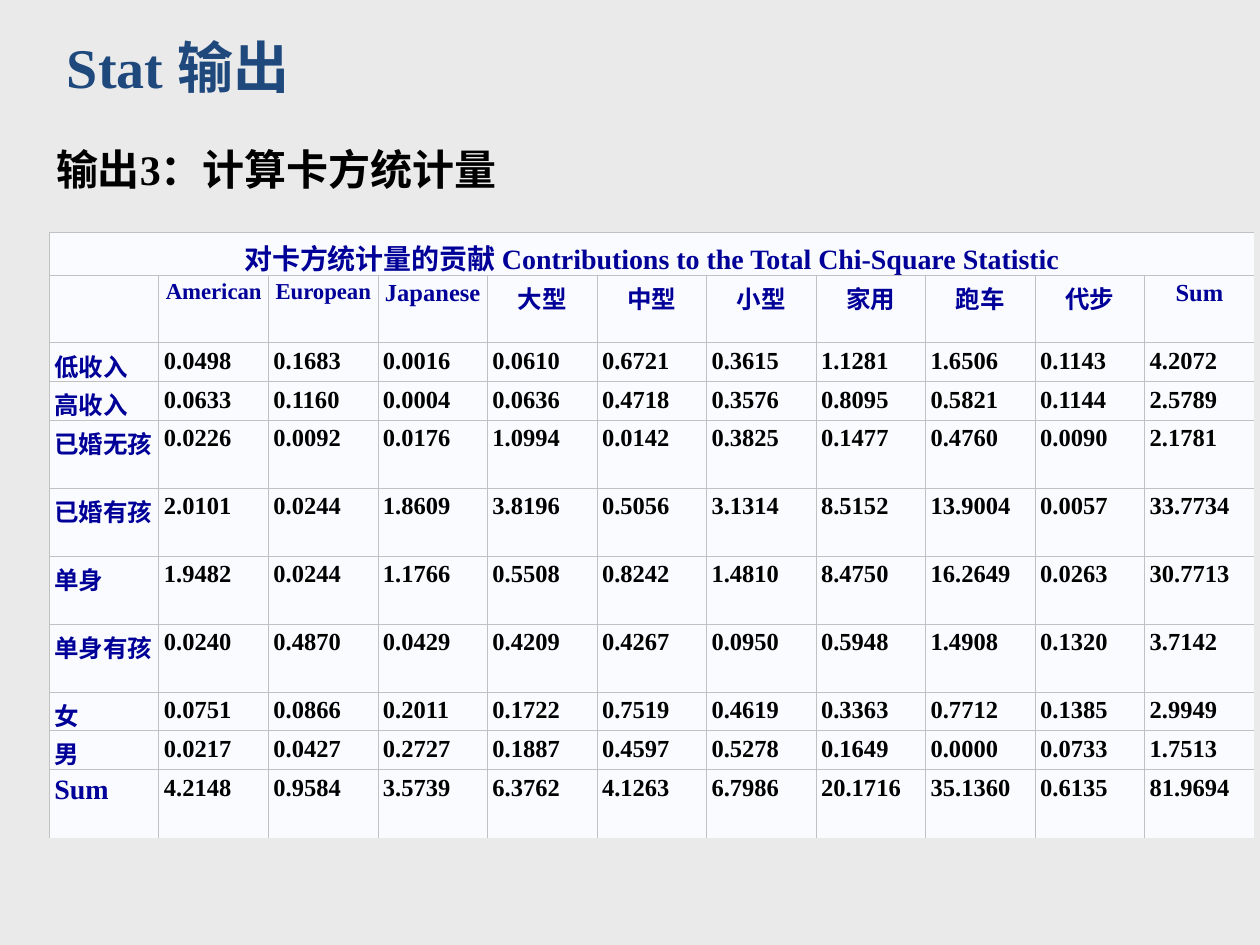
from lxml.etree import SubElement
from pptx import Presentation
from pptx.dml.color import RGBColor
from pptx.enum.text import MSO_ANCHOR, MSO_AUTO_SIZE, PP_ALIGN
from pptx.oxml.ns import qn
from pptx.util import Pt

SERIF = "Times New Roman"
NAVY, BLUE, BLACK = "000099", "1F497D", "000000"
TABLE_TITLE = "对卡方统计量的贡献 Contributions to the Total Chi-Square Statistic"
HEADERS = "American European Japanese 大型 中型 小型 家用 跑车 代步 Sum".split()
ROWS = """
低收入 0.0498 0.1683 0.0016 0.0610 0.6721 0.3615 1.1281 1.6506 0.1143 4.2072
高收入 0.0633 0.1160 0.0004 0.0636 0.4718 0.3576 0.8095 0.5821 0.1144 2.5789
已婚无孩 0.0226 0.0092 0.0176 1.0994 0.0142 0.3825 0.1477 0.4760 0.0090 2.1781
已婚有孩 2.0101 0.0244 1.8609 3.8196 0.5056 3.1314 8.5152 13.9004 0.0057 33.7734
单身 1.9482 0.0244 1.1766 0.5508 0.8242 1.4810 8.4750 16.2649 0.0263 30.7713
单身有孩 0.0240 0.4870 0.0429 0.4209 0.4267 0.0950 0.5948 1.4908 0.1320 3.7142
女 0.0751 0.0866 0.2011 0.1722 0.7519 0.4619 0.3363 0.7712 0.1385 2.9949
男 0.0217 0.0427 0.2727 0.1887 0.4597 0.5278 0.1649 0.0000 0.0733 1.7513
Sum 4.2148 0.9584 3.5739 6.3762 4.1263 6.7986 20.1716 35.1360 0.6135 81.9694
"""
TITLE_H, SHORT, TALL = 24, 22.2, 38.8
HEIGHTS = [TITLE_H, TALL, SHORT, SHORT, TALL, TALL, TALL, TALL, SHORT, SHORT, TALL]


def rgb(value):
    return RGBColor.from_string(value)


class Deck:
    """Holds the table style and the current slide, and adds elements to it."""

    cell_fill, border, border_width = "FAFBFE", "C1C1C1", 0.6
    margin_x, margin_y = 2.88, 2.6

    def __init__(self, prs, background):
        self.s = prs.slides.add_slide(prs.slide_layouts[1])
        fill = self.s.background.fill
        fill.solid()
        fill.fore_color.rgb = rgb(background)

    def run(self, p, text, size, color, font=SERIF):
        r = p.add_run()
        r.text = text
        r.font.name, r.font.size, r.font.bold = font, Pt(size), True
        r.font.color.rgb = rgb(color)

    def heading(self, idx, box, runs, size, color):
        sp = self.s.placeholders[idx]
        sp.left, sp.top, sp.width, sp.height = map(Pt, box)
        tf = sp.text_frame
        tf.word_wrap = True
        tf.auto_size = MSO_AUTO_SIZE.SHAPE_TO_FIT_TEXT
        tf.vertical_anchor = MSO_ANCHOR.TOP
        p = tf.paragraphs[0]
        p.alignment, p.space_before = PP_ALIGN.LEFT, Pt(0)
        pPr = p._p.get_or_add_pPr()
        pPr.set("marL", "0")
        pPr.set("indent", "0")
        SubElement(pPr, qn("a:buNone"))
        for text, font in runs:
            self.run(p, text, size, color, font)

    def borders(self, cell, sides):
        tcPr = cell._tc.get_or_add_tcPr()
        for side in "LRTB":
            ln = SubElement(tcPr, qn(f"a:ln{side}"), w=str(Pt(self.border_width)))
            if side in sides:
                solid = SubElement(ln, qn("a:solidFill"))
                SubElement(solid, qn("a:srgbClr"), val=self.border)
            else:
                SubElement(ln, qn("a:noFill"))

    def table(self, left, top, col_width, heights, grid):
        rows, cols = len(grid), len(grid[0])
        shape = self.s.shapes.add_table(
            rows, cols, Pt(left), Pt(top), Pt(col_width * cols), Pt(sum(heights)))
        tbl = shape.table
        tbl.first_row = tbl.horz_banding = False
        for col in tbl.columns:
            col.width = Pt(col_width)
        for row, height in zip(tbl.rows, heights):
            row.height = Pt(height)
        tbl.cell(0, 0).merge(tbl.cell(0, cols - 1))
        for i, line in enumerate(grid):
            for j, (text, size, color) in enumerate(line):
                cell = tbl.cell(i, j)
                right = "R" if 0 < i and j < cols - 1 else ""
                bottom = "B" if i < rows - 1 else ""
                self.borders(cell, "LT" + right + bottom)
                cell.fill.solid()
                cell.fill.fore_color.rgb = rgb(self.cell_fill)
                cell.margin_left = cell.margin_right = Pt(self.margin_x)
                cell.margin_top = cell.margin_bottom = Pt(self.margin_y)
                if text:
                    p = cell.text_frame.paragraphs[0]
                    p.alignment = PP_ALIGN.CENTER if i < 2 else PP_ALIGN.LEFT
                    self.run(p, text, size, color)


def contribution_grid():
    blank = ("", 14, NAVY)
    grid = [[(TABLE_TITLE, 16, NAVY)] + [blank] * len(HEADERS)]
    grid.append([blank] + [(h, 13 if j < 2 else 14, NAVY) for j, h in enumerate(HEADERS)])
    for line in ROWS.strip().splitlines():
        label, *values = line.split()
        label_size = 16 if label == "Sum" else 14
        grid.append([(label, label_size, NAVY)] + [(v, 14, BLACK) for v in values])
    return grid


def main():
    prs = Presentation()
    prs.slide_width, prs.slide_height = Pt(720), Pt(540)
    deck = Deck(prs, "EAEAEA")
    deck.heading(0, (31, 15.1, 429, 46), [("Stat ", SERIF), ("输出", "Arial")], 32, BLUE)
    deck.heading(1, (24.8, 78.5, 306.7, 36), [("输出3：计算卡方统计量", SERIF)], 24, BLACK)
    deck.table(28.2, 132.8, 62.6, HEIGHTS, contribution_grid())
    prs.save("out.pptx")


if __name__ == "__main__":
    main()
